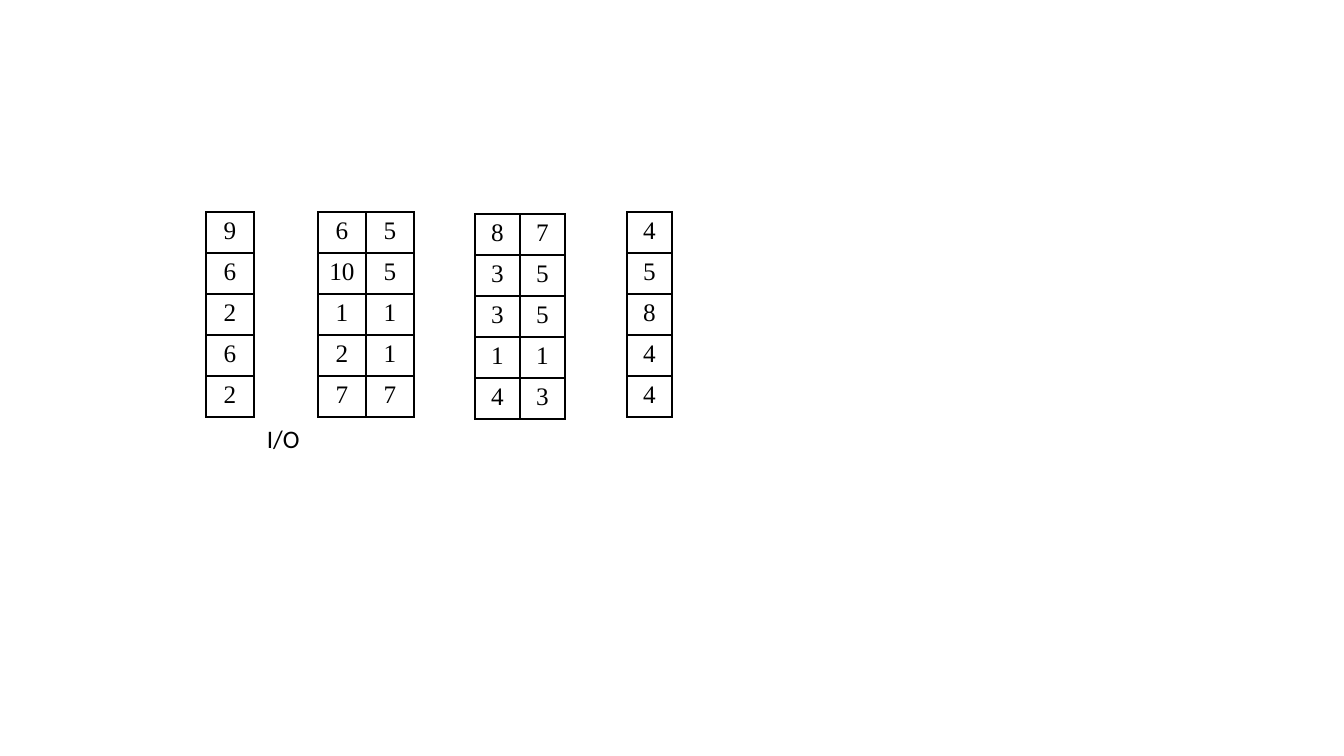
from dataclasses import dataclass

from lxml.etree import SubElement
from pptx import Presentation
from pptx.dml.color import RGBColor
from pptx.enum.text import MSO_AUTO_SIZE, PP_ALIGN
from pptx.oxml.ns import qn
from pptx.util import Pt

# Content: digit columns, with place and column width in px
NUMBER_GRIDS = [
    {"left": 206, "top": 212, "column": 48,
     "rows": [[9], [6], [2], [6], [2]]},
    {"left": 318, "top": 212, "column": 48,
     "rows": [[6, 5], [10, 5], [1, 1], [2, 1], [7, 7]]},
    {"left": 475, "top": 214, "column": 45,
     "rows": [[8, 7], [3, 5], [3, 5], [1, 1], [4, 3]]},
    {"left": 627, "top": 212, "column": 45,
     "rows": [[4], [5], [8], [4], [4]]},
]
IO_LABEL = {"text": "I/O", "box": (257, 418, 53, 40)}
ROW_HEIGHT = 41
SLIDE_SIZE = (1344, 756)


@dataclass(frozen=True)
class Theme:
    ink: str = "000000"
    number_font: str = "Times New Roman"
    label_font: str = "Calibri"
    text_size: int = 18
    border: int = 1


THEME = Theme()
EMU_PER_PX = 914400 / 100.8


def px(length):
    return round(length * EMU_PER_PX)


def format_font(font, name):
    values = {"name": name, "size": Pt(THEME.text_size)}
    for key, value in values.items():
        setattr(font, key, value)
    font.color.rgb = RGBColor.from_string(THEME.ink)


def add_borders(cell):
    properties = cell._tc.get_or_add_tcPr()
    for position, side in enumerate(("lnL", "lnR", "lnT", "lnB")):
        line = SubElement(properties, qn(f"a:{side}"), w=str(Pt(THEME.border)))
        fill = SubElement(line, qn("a:solidFill"))
        SubElement(fill, qn("a:srgbClr"), val=THEME.ink)
        properties.insert(position, line)


def add_number_grid(slide, grid):
    rows = grid["rows"]
    row_count, column_count = len(rows), len(rows[0])
    table = slide.shapes.add_table(
        row_count, column_count, px(grid["left"]), px(grid["top"]),
        px(grid["column"] * column_count), px(ROW_HEIGHT * row_count),
    ).table
    for flag in ("first_row", "horz_banding"):
        setattr(table, flag, False)
    for column in table.columns:
        column.width = px(grid["column"])
    for row, numbers in zip(table.rows, rows):
        row.height = px(ROW_HEIGHT)
        for cell, number in zip(row.cells, numbers):
            cell.text = str(number)
            cell.fill.background()
            add_borders(cell)
            paragraph = cell.text_frame.paragraphs[0]
            paragraph.alignment = PP_ALIGN.CENTER
            format_font(paragraph.runs[0].font, THEME.number_font)


def add_io_label(slide):
    box = slide.shapes.add_textbox(*map(px, IO_LABEL["box"]))
    frame = box.text_frame
    frame.text = IO_LABEL["text"]
    settings = {"word_wrap": False, "auto_size": MSO_AUTO_SIZE.SHAPE_TO_FIT_TEXT}
    for key, value in settings.items():
        setattr(frame, key, value)
    format_font(frame.paragraphs[0].runs[0].font, THEME.label_font)


def main():
    presentation = Presentation()
    presentation.slide_width, presentation.slide_height = map(px, SLIDE_SIZE)
    slide = presentation.slides.add_slide(presentation.slide_layouts[6])

    # Number grids
    for grid in NUMBER_GRIDS:
        add_number_grid(slide, grid)

    # Label under the first gap
    add_io_label(slide)
    presentation.save("out.pptx")


if __name__ == "__main__":
    main()
